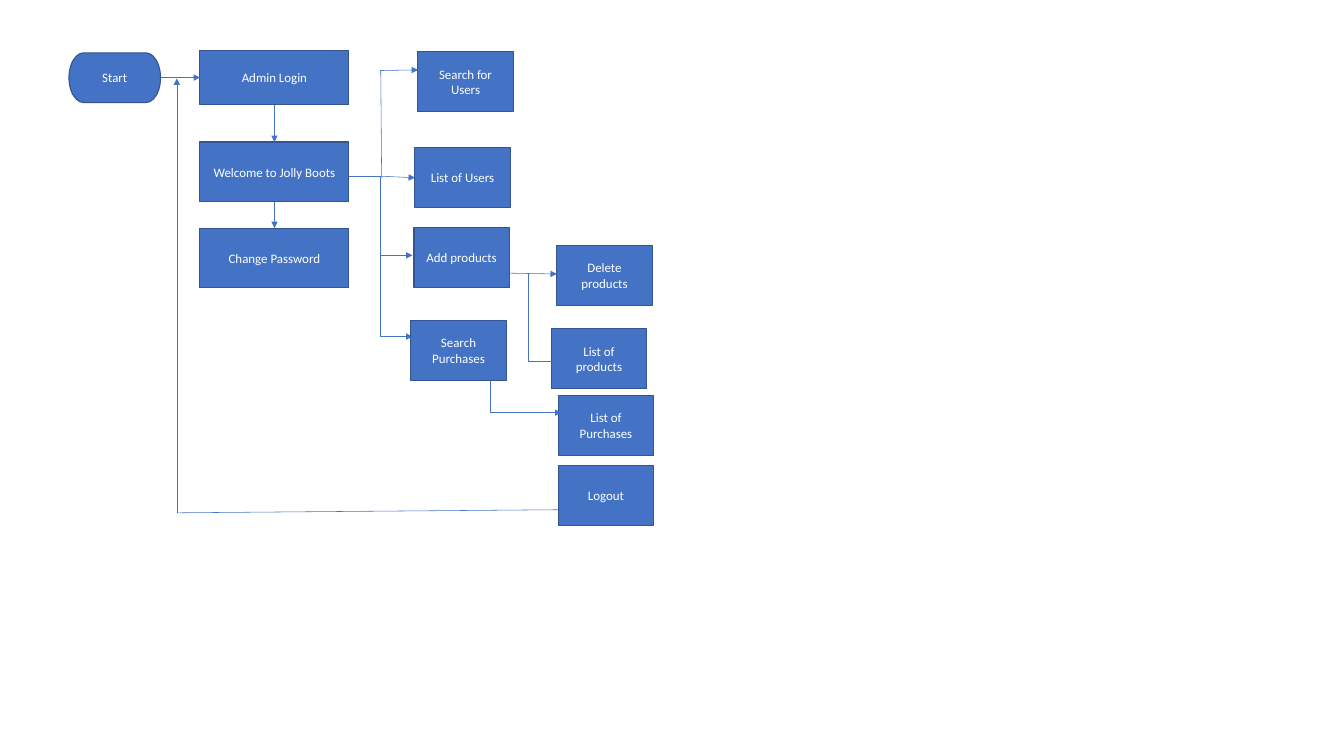
from lxml import etree
from pptx import Presentation
from pptx.dml.color import RGBColor
from pptx.enum import shapes, text
from pptx.oxml.ns import qn
from pptx.util import Cm, Pt

BLUE = RGBColor(0x44, 0x72, 0xC4)
EDGE = RGBColor(0x32, 0x54, 0x91)
WHITE = RGBColor(0xFF, 0xFF, 0xFF)
FONT = "Calibri"
RECT = shapes.MSO_SHAPE.RECTANGLE
TERMINATOR = shapes.MSO_SHAPE.FLOWCHART_TERMINATOR
STRAIGHT = shapes.MSO_CONNECTOR.STRAIGHT
ELBOW = shapes.MSO_CONNECTOR.ELBOW


def add_step(s, label, x, y, w, h, kind=RECT):
    """Add one flowchart step with centred white text."""
    sp = s.shapes.add_shape(kind, Cm(x), Cm(y), Cm(w), Cm(h))
    sp.shadow.inherit = False
    sp.fill.solid()
    sp.fill.fore_color.rgb = BLUE
    sp.line.color.rgb = EDGE
    sp.line.width = Pt(1)
    tf = sp.text_frame
    tf.word_wrap = True
    tf.vertical_anchor = text.MSO_ANCHOR.MIDDLE
    p = tf.paragraphs[0]
    p.alignment = text.PP_ALIGN.CENTER
    r = p.add_run()
    r.text = label
    r.font.name = FONT
    r.font.size = Pt(12)
    r.font.color.rgb = WHITE


def add_link(s, x1, y1, x2, y2, arrow=True, bend=None):
    """Add a line; bend is the share of its width where an elbow turns."""
    kind = STRAIGHT if bend is None else ELBOW
    c = s.shapes.add_connector(kind, Cm(x1), Cm(y1), Cm(x2), Cm(y2))
    c.line.color.rgb = BLUE
    c.line.width = Pt(0.5)
    sp_pr = c._element.spPr
    if arrow:
        etree.SubElement(c.line._get_or_add_ln(), qn("a:tailEnd"), type="triangle")
    etree.SubElement(sp_pr, qn("a:effectLst"))
    if bend is not None:
        guides = sp_pr.find(qn("a:prstGeom")).get_or_add_avLst()
        etree.SubElement(guides, qn("a:gd"), name="adj1",
                         fmla=f"val {round(bend * 100000)}")


def add_login_column(s, x, y, w, h):
    """Place the start, the admin steps and the arrows between them."""
    mid = x + w / 2
    add_step(s, "Start", x - 4.29, y + 0.08, 3, 1.63, TERMINATOR)
    add_step(s, "Admin Login", x, y, w, 1.78)
    add_step(s, "Welcome to Jolly Boots", x, y + 3, w, h)
    add_step(s, "Change Password", x, y + 5.82, w, h)
    add_link(s, x - 1.29, y + 0.89, x, y + 0.89)
    add_link(s, mid, y + 1.78, mid, y + 3)
    add_link(s, mid, y + 3 + h, mid, y + 5.82)


def add_column(s, x, y, w, h, steps):
    """Place equal steps, each given as label and offset in the column."""
    for label, dx, dy in steps:
        add_step(s, label, x + dx, y + dy, w, h)


def add_menu_links(s, x, y):
    """Branch from the welcome step to the four menu steps."""
    add_link(s, x, y - 3.48, x + 0.03, y + 0.05, arrow=False)
    add_link(s, x, y - 3.46, x + 1.22, y - 3.48)
    add_link(s, x, y, x + 1.12, y + 0.05)
    add_link(s, x - 1.04, y, x + 1.04, y + 2.59, bend=0.5)
    add_link(s, x, y + 2.59, x + 1.04, y + 5.25, bend=0)


def add_detail_links(s, x, y):
    """Branch from the product and purchase steps to their details."""
    add_link(s, x - 0.87, y - 0.03, x + 0.94, y)
    add_link(s, x, y, x + 1.04, y + 2.87, bend=0)
    add_link(s, x - 1.09, y + 3.48, x + 1.09, y + 4.54, bend=-0.07)


def add_return_link(s, x, y, w, h):
    """Lead from the logout step back to the login."""
    add_link(s, x, y + h, x + w, y + h - 0.1, arrow=False)
    add_link(s, x, y + h, x, y)


prs = Presentation()
prs.slide_width, prs.slide_height = Cm(44.02), Cm(24.13)
s = prs.slides.add_slide(prs.slide_layouts[6])

add_login_column(s, 6.55, 1.65, 4.88, 1.96)
add_column(s, 18.06, 8.03, 3.12, 1.96, [
    ("Delete products", 0.18, 0),
    ("List of products", 0, 2.74),
    ("List of Purchases", 0.23, 4.92),
    ("Logout", 0.23, 7.21),
])
add_menu_links(s, 12.47, 5.77)
add_detail_links(s, 17.3, 8.97)
add_return_link(s, 5.79, 2.57, 12.5, 14.22)
add_column(s, 13.46, 1.7, 3.12, 1.96, [
    ("Search for Users", 0.23, 0),
    ("List of Users", 0.13, 3.13),
    ("Add products", 0.1, 5.74),
    ("Search Purchases", 0, 8.79),
])
prs.save("out.pptx")
